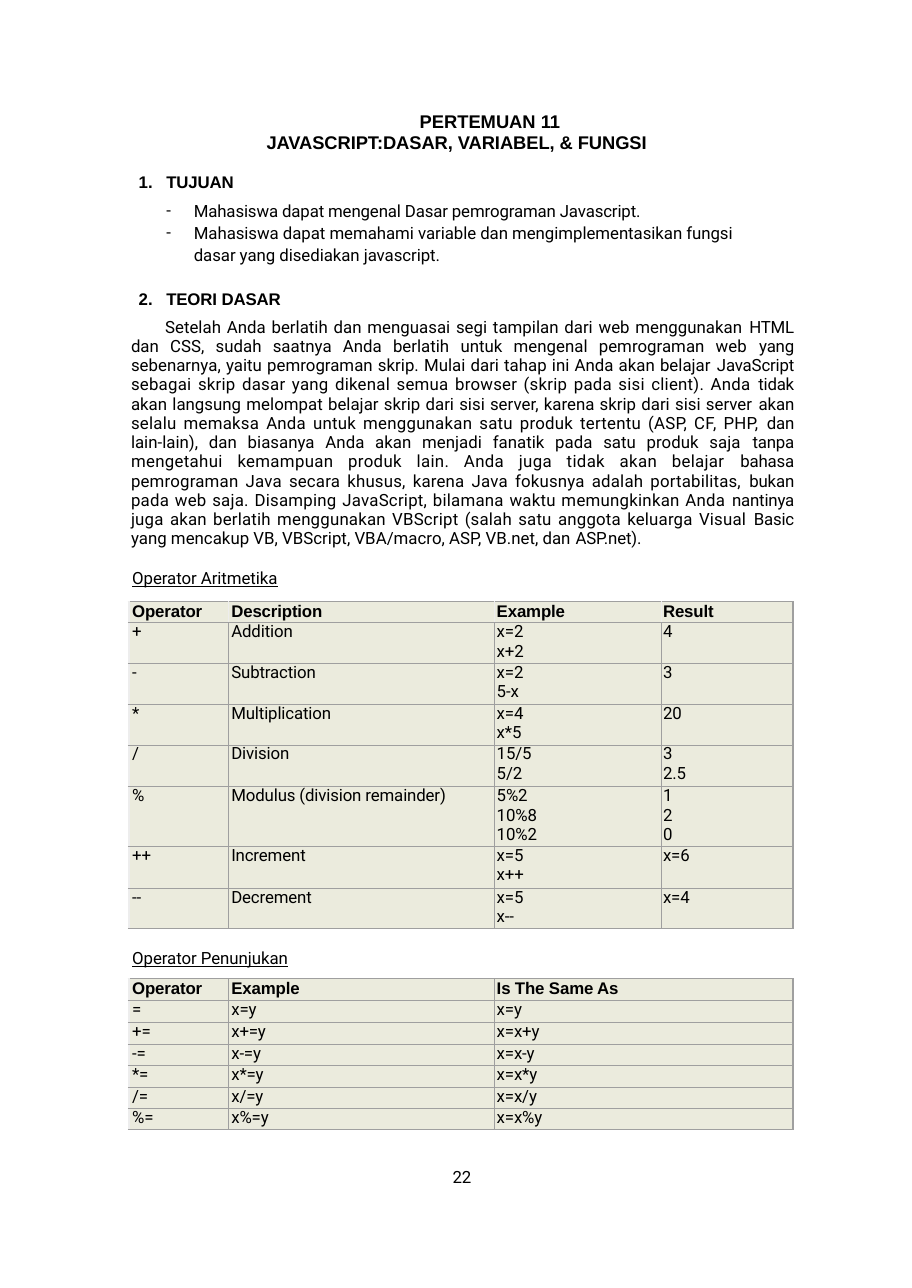
import pptx
import pptx.dml.color
import pptx.enum.text
import pptx.oxml
import pptx.oxml.ns
import pptx.util
from lxml import etree

Inches = pptx.util.Inches
Pt = pptx.util.Pt
COLORS = {"text": "000000", "cell": "EBEBDD", "rule": "9F9F9F", "light": "EDEDED"}
HEADING, BODY = "Arial", "Roboto"

# Lines of the theory paragraph with their letter spacing in points
THEORY_LINES = [
    ("Setelah Anda berlatih dan menguasai segi tampilan dari web menggunakan HTML", 0),
    ("dan CSS, sudah saatnya Anda berlatih untuk mengenal pemrograman web yang", 0),
    ("sebenarnya, yaitu pemrograman skrip. Mulai dari tahap ini Anda akan belajar JavaScript", 0),
    ("sebagai skrip dasar yang dikenal semua browser (skrip pada sisi client). Anda tidak", 0.15),
    ("akan langsung melompat belajar skrip dari sisi server, karena skrip dari sisi server akan", 0),
    ("selalu memaksa Anda untuk menggunakan satu produk tertentu (ASP, CF, PHP, dan", 0.15),
    ("lain-lain), dan biasanya Anda akan menjadi fanatik pada satu produk saja tanpa", 0),
    ("mengetahui kemampuan produk lain. Anda juga tidak akan belajar bahasa", 0.2),
    ("pemrograman Java secara khusus, karena Java fokusnya adalah portabilitas, bukan", 0.1),
    ("pada web saja. Disamping JavaScript, bilamana waktu memungkinkan Anda nantinya", 0.15),
    ("juga akan berlatih menggunakan VBScript (salah satu anggota keluarga Visual Basic", 0.1),
    ("yang mencakup VB, VBScript, VBA/macro, ASP, VB.net, dan ASP.net).", 0),
]

ARITHMETIC = [
    ("Operator", "Description", "Example", "Result"),
    ("+", "Addition", "x=2\nx+2", "4"),
    ("-", "Subtraction", "x=2\n5-x", "3"),
    ("*", "Multiplication", "x=4\nx*5", "20"),
    ("/", "Division", "15/5\n5/2", "3\n2.5"),
    ("%", "Modulus (division remainder)", "5%2\n10%8\n10%2", "1\n2\n0"),
    ("++", "Increment", "x=5\nx++", "x=6"),
    ("--", "Decrement", "x=5\nx--", "x=4"),
]
ASSIGNMENT = [("Operator", "Example", "Is The Same As"), ("=", "x=y", "x=y")]
ASSIGNMENT += [(f"{sign}=", f"x{sign}=y", f"x=x{sign}y") for sign in "+-*/%"]


def add_paragraph(frame, spans, name=BODY, size=11, bold=False, underline=False,
                  left=0.0, first=0.0, right=0.0, before=None, spacing=None,
                  level=0, justify=False, dash=False, number=None):
    """Fill the first empty paragraph or add one; spans are (text, tracking) pairs."""
    para = frame.paragraphs[-1]
    if para.runs:
        para = frame.add_paragraph()
    para.level = level
    if justify:
        para.alignment = pptx.enum.text.PP_ALIGN.JUSTIFY
    props = para._p.get_or_add_pPr()
    for key, length in (("marL", left), ("marR", right), ("indent", first)):
        props.set(key, str(Inches(length)))
    if dash:
        etree.SubElement(props, pptx.oxml.ns.qn("a:buFont")).set("typeface", BODY)
        etree.SubElement(props, pptx.oxml.ns.qn("a:buChar")).set("char", "-")
    elif number:
        marker = etree.SubElement(props, pptx.oxml.ns.qn("a:buAutoNum"))
        marker.set("type", "arabicPeriod")
        marker.set("startAt", str(number))
    else:
        etree.SubElement(props, pptx.oxml.ns.qn("a:buNone"))
    if before is not None:
        para.space_before = Pt(before)
    if spacing is not None:
        para.line_spacing = spacing
    font = para.font
    font.name, font.size, font.bold, font.underline = name, Pt(size), bold, underline
    font.color.rgb = pptx.dml.color.RGBColor.from_string(COLORS["text"])
    for text, tracking in spans:
        span = para.add_run()
        span.text = text
        if tracking:
            span._r.get_or_add_rPr().set("spc", str(round(tracking * 100)))


def add_text_box(page, left, top, width, height, inset=0.0):
    box = page.shapes.add_textbox(Inches(left), Inches(top), Inches(width), Inches(height))
    frame = box.text_frame
    frame.word_wrap = True
    frame.auto_size = pptx.enum.text.MSO_AUTO_SIZE.SHAPE_TO_FIT_TEXT
    frame.margin_left = frame.margin_right = frame.margin_bottom = 0
    frame.margin_top = Inches(inset)
    return frame


def theory_spans():
    """Tighten the last word of every line slightly."""
    spans = []
    for index, (line, tracking) in enumerate(THEORY_LINES, 1):
        start, last = line.rsplit(" ", 1)
        end = " " if index < len(THEORY_LINES) else ""
        spans += [(start + " ", tracking), (last + end, -0.15)]
    return spans


def set_border(cell, side, color, width):
    line = etree.SubElement(cell._tc.get_or_add_tcPr(), pptx.oxml.ns.qn(f"a:ln{side}"))
    line.set("w", str(Pt(width)))
    fill = etree.SubElement(line, pptx.oxml.ns.qn("a:solidFill"))
    etree.SubElement(fill, pptx.oxml.ns.qn("a:srgbClr")).set("val", COLORS[color])


def add_operator_table(page, top, rows, widths, heights, header_rule):
    frame = page.shapes.add_table(len(rows), len(widths), Inches(1.17), Inches(top),
                                  Inches(sum(widths)), Inches(sum(heights)))
    table = frame.table
    table.first_row = table.horz_banding = False
    for column, width in zip(table.columns, widths):
        column.width = Inches(width)
    for row, height in zip(table.rows, heights):
        row.height = Inches(height)
    final = len(widths) - 1
    for r, values in enumerate(rows):
        inner = "rule" if r else header_rule
        for c, value in enumerate(values):
            cell = table.cell(r, c)
            cell.margin_left = cell.margin_right = cell.margin_top = cell.margin_bottom = 0
            set_border(cell, "L", inner if c else "light", 0.25 if c else 1.5)
            set_border(cell, "R", "rule" if c == final else inner, 1.5 if c == final else 0.25)
            set_border(cell, "T", "rule", 0.25)
            set_border(cell, "B", "rule", 0.25)
            cell.fill.solid()
            cell.fill.fore_color.rgb = pptx.dml.color.RGBColor.from_string(COLORS["cell"])
            for line in value.split("\n"):
                add_paragraph(cell.text_frame, [(line, -0.1)], name=BODY if r else HEADING,
                              bold=r == 0, left=0.03 if c < 2 else 0.02, spacing=Pt(12.6))


def add_lesson_text(page):
    frame = add_text_box(page, 1.18, 0.98, 6.03, 4.38, inset=0.03)
    # Title
    add_paragraph(frame, [("PERTEMUAN 11 ", 0), ("JAVASCRIPT:DASAR, VARIABEL, & FUNGSI", -0.05)],
                  name=HEADING, size=12, bold=True, left=1.24, first=1.39, right=1.2,
                  spacing=Pt(13.8))
    # Goals
    heading = dict(name=HEADING, bold=True, left=0.33, first=-0.25)
    goal = dict(left=0.58, first=-0.25, right=0.3, level=1, dash=True)
    add_paragraph(frame, [("TUJUAN", -0.1)], before=11.8, number=1, **heading)
    add_paragraph(frame, [("Mahasiswa dapat mengenal Dasar pemrograman Javascript.", -0.1)],
                  before=5.8, **goal)
    add_paragraph(frame, [("Mahasiswa dapat memahami variable dan mengimplementasikan fungsi "
                           "dasar yang disediakan javascript.", -0.05)],
                  before=0.1, spacing=1.08, **goal)
    # Theory
    add_paragraph(frame, [("TEORI DASAR", -0.1)], before=15.8, number=2, **heading)
    add_paragraph(frame, theory_spans(), left=0.01, first=0.31, before=5.8,
                  spacing=0.95, justify=True)
    add_paragraph(frame, [("Operator Aritmetika", -0.05)], underline=True, left=0.02, before=12.6)


def main():
    deck = pptx.Presentation()
    deck.slide_width, deck.slide_height = Inches(8.28), Inches(11.69)
    page = deck.slides.add_slide(deck.slide_layouts[6])

    add_lesson_text(page)
    add_operator_table(page, 5.46, ARITHMETIC, [0.9, 2.42, 1.51, 1.2],
                       [0.19, 0.37, 0.37, 0.37, 0.38, 0.54, 0.38, 0.37], "light")

    # Assignment operators
    label = add_text_box(page, 1.18, 8.59, 1.47, 0.21, inset=0.01)
    add_paragraph(label, [("Operator Penunjukan", -0.05)], underline=True, left=0.02)
    add_operator_table(page, 8.88, ASSIGNMENT, [0.9, 2.42, 2.71],
                       [0.2, 0.2, 0.2, 0.19, 0.2, 0.19, 0.19], "rule")

    # Page number
    number = add_text_box(page, 4.07, 10.59, 0.26, 0.2)
    add_paragraph(number, [("22", -0.2)], left=0.04, spacing=Pt(13.2))

    deck.save("out.pptx")


if __name__ == "__main__":
    main()
